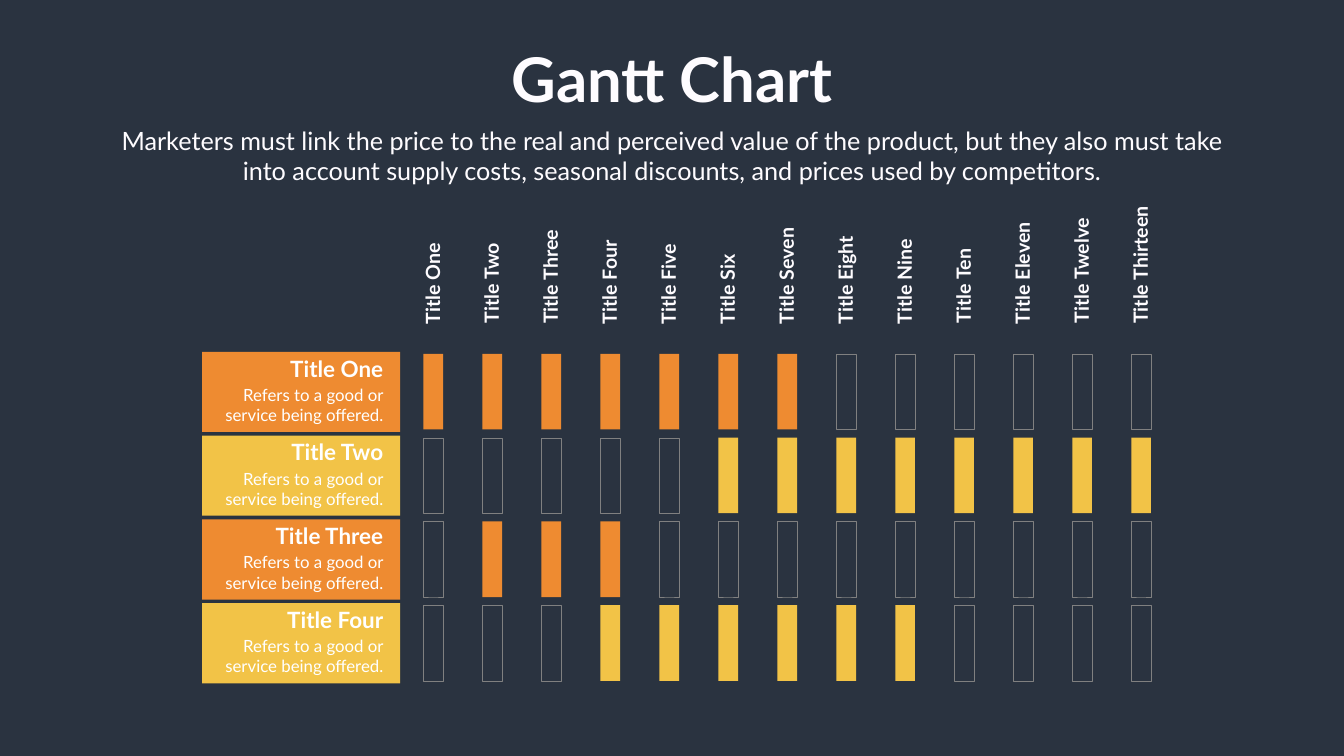
from pptx import Presentation
from pptx.dml.color import RGBColor
from pptx.enum.shapes import MSO_SHAPE
from pptx.enum.text import MSO_ANCHOR, MSO_AUTO_SIZE, PP_ALIGN
from pptx.util import Inches, Pt

RECTANGLE = MSO_SHAPE.RECTANGLE
TOP = MSO_ANCHOR.TOP
FIT = MSO_AUTO_SIZE.SHAPE_TO_FIT_TEXT
CENTER, RIGHT = PP_ALIGN.CENTER, PP_ALIGN.RIGHT

HEADING = "Gantt Chart"
INTRO = (
    "Marketers must link the price to the real and perceived value of the product, "
    "but they also must take into account supply costs, seasonal discounts, "
    "and prices used by competitors."
)
DETAIL = "Refers to a good or service being offered."

BACKGROUND, OFF_WHITE, WHITE, GREY = "2A3340", "FEFCFF", "FFFFFF", "808080"
ORANGE, YELLOW = "EE8B31", "F2C347"

HEADER_SIZE, ROW_SIZE = 28, 32
PERIODS = [
    ("Title One", 1.63), ("Title Two", 1.66), ("Title Three", 1.91),
    ("Title Four", 1.7), ("Title Five", 1.63), ("Title Six", 1.41),
    ("Title Seven", 1.95), ("Title Eight", 1.78), ("Title Nine", 1.72),
    ("Title Ten", 1.55), ("Title Eleven", 2.06), ("Title Twelve", 2.16),
    ("Title Thirteen", 2.38),
]
TEXT_WIDTHS = dict(PERIODS)
TASKS = [
    ("Title One", ORANGE, 1, 7),
    ("Title Two", YELLOW, 6, 13),
    ("Title Three", ORANGE, 2, 4),
    ("Title Four", YELLOW, 4, 9),
]

SLIDE_W, SLIDE_H = 26.66, 15
CARD_X, CARD_Y, CARD_W, CARD_H = 4.01, 6.98, 3.93, 1.59
BAR_X, BAR_W, BAR_H = 8.4, 0.39, 1.5
COLUMN, ROW = 1.17, 1.663
INSET = 0.1
LABEL_RIGHT = 7.7
HEADER_BOTTOM, HEADER_H = 6.55, 0.57


def rgb(value):
    return RGBColor.from_string(value)


def place(s, x, y, w, h):
    s.left, s.top, s.width, s.height = map(Inches, (x, y, w, h))


def write(s, text, size, color, align, bold=False, wrap=False):
    tf = s.text_frame
    tf.text = text
    tf.word_wrap = wrap
    tf.auto_size = FIT
    tf.vertical_anchor = TOP
    p = tf.paragraphs[0]
    p.alignment = align
    p.space_before = Pt(0)
    font = p.runs[0].font
    font.name, font.size, font.bold = "Lato", Pt(size), bold
    font.color.rgb = rgb(color)


def add_text(slide, box, *args, **kwargs):
    s = slide.shapes.add_textbox(*map(Inches, box))
    write(s, *args, **kwargs)
    return s


def add_box(slide, box, fill=None):
    s = slide.shapes.add_shape(RECTANGLE, *map(Inches, box))
    s.shadow.inherit = False
    if fill:
        s.fill.solid()
        s.fill.fore_color.rgb = rgb(fill)
        s.line.fill.background()
    else:
        s.fill.background()
        s.line.color.rgb = rgb(GREY)
        s.line.width = Pt(0.28)


def add_task(slide, row, name, color, first, last):
    y = CARD_Y + row * ROW
    add_box(slide, (CARD_X, y, CARD_W, CARD_H), color)
    for i in range(len(PERIODS)):
        bar = (BAR_X + i * COLUMN, y + 0.04, BAR_W, BAR_H)
        add_box(slide, bar, color if first <= i + 1 <= last else None)
    add_text(slide, (LABEL_RIGHT - 3.4, y + 0.6, 3.4, 0.91),
             DETAIL, 24, WHITE, RIGHT, wrap=True)
    w = TEXT_WIDTHS[name] * ROW_SIZE / HEADER_SIZE + 2 * INSET
    add_text(slide, (LABEL_RIGHT - w, y + 0.01, w, 0.64),
             name, ROW_SIZE, WHITE, RIGHT, bold=True)


def add_header(slide, column, name, text_width):
    w = text_width + 2 * INSET
    center = BAR_X + BAR_W / 2 + column * COLUMN - 0.02
    middle = HEADER_BOTTOM - w / 2
    s = add_text(slide, (center - w / 2, middle - HEADER_H / 2, w, HEADER_H),
                 name, HEADER_SIZE, OFF_WHITE, CENTER, bold=True)
    s.rotation = 270


def main():
    prs = Presentation()
    prs.slide_width, prs.slide_height = Inches(SLIDE_W), Inches(SLIDE_H)
    slide = prs.slides.add_slide(prs.slide_layouts[0])
    slide.background.fill.solid()
    slide.background.fill.fore_color.rgb = rgb(BACKGROUND)

    title, intro = slide.placeholders
    place(title, (SLIDE_W - 6.73) / 2, 0.76, 6.73, 1.58)
    write(title, HEADING, 88, OFF_WHITE, CENTER, bold=True)
    place(intro, (SLIDE_W - 22.21) / 2, 2.43, 22.21, 1.31)
    write(intro, INTRO, 36, OFF_WHITE, CENTER, wrap=True)

    for row, task in enumerate(TASKS):
        add_task(slide, row, *task)
    for column, period in enumerate(PERIODS):
        add_header(slide, column, *period)

    prs.save("out.pptx")


if __name__ == "__main__":
    main()
